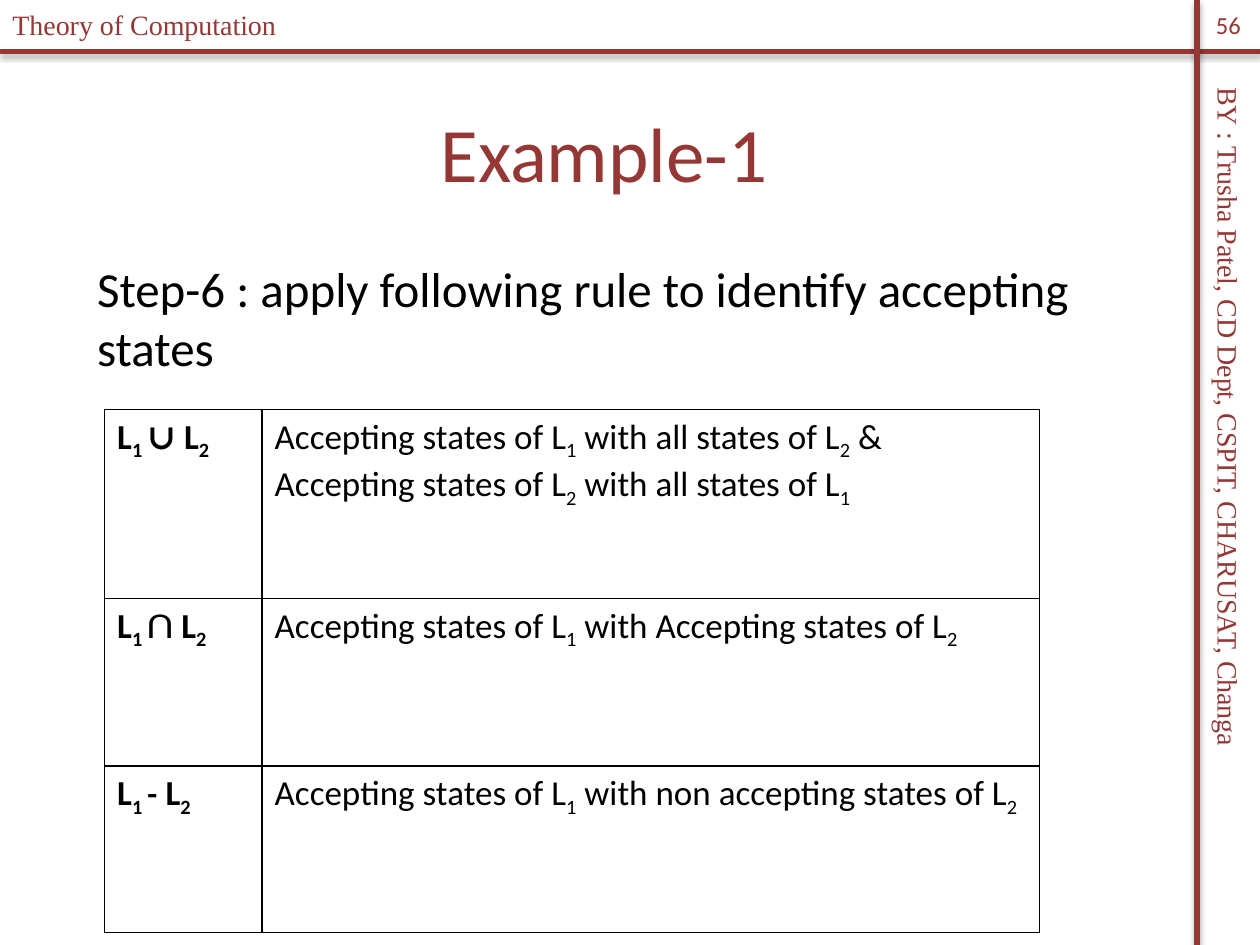
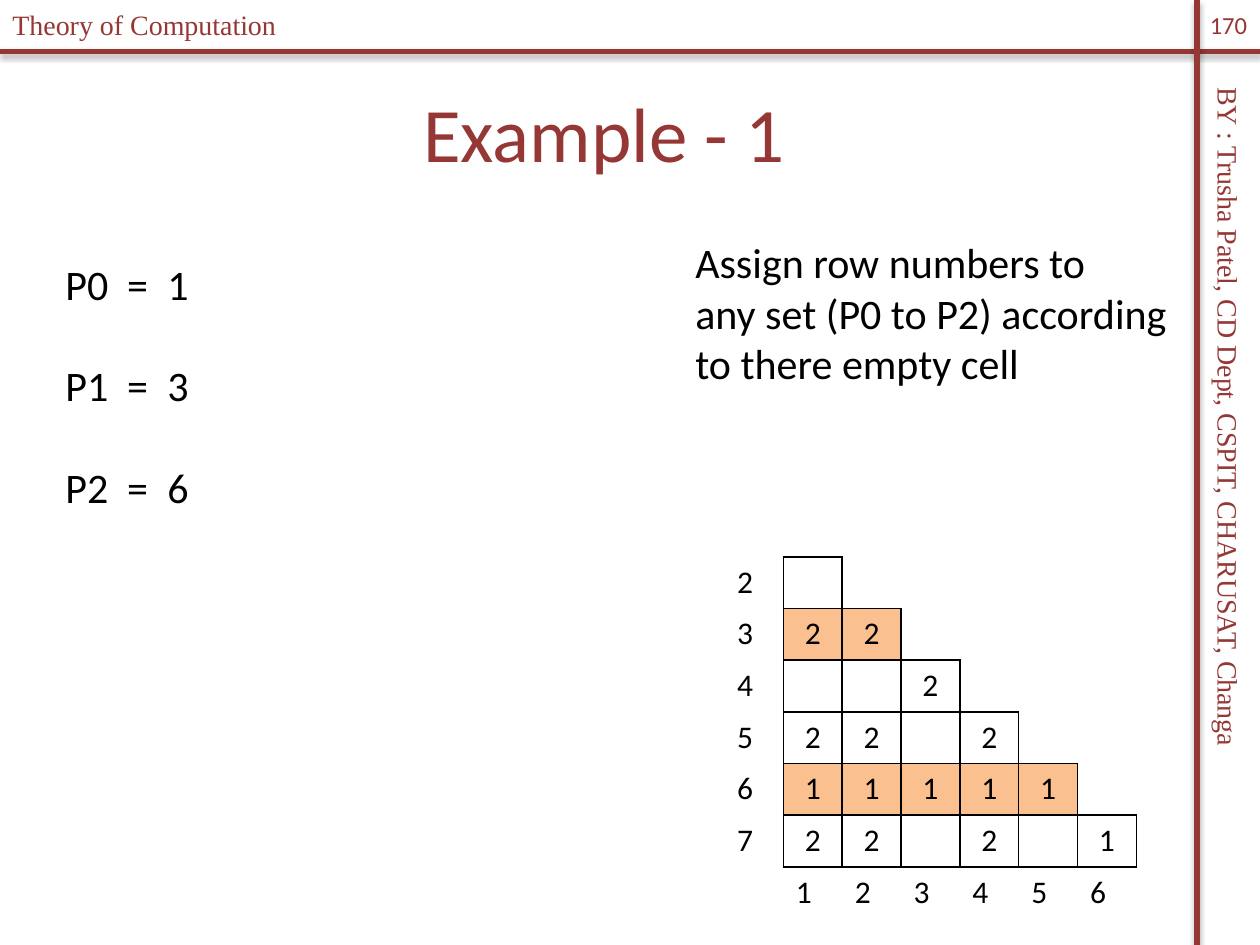
from lxml.etree import SubElement
from pptx import Presentation
from pptx.dml.color import RGBColor
from pptx.enum.shapes import MSO_CONNECTOR as Connector
from pptx.enum.text import MSO_ANCHOR as Anchor, PP_ALIGN as Align
from pptx.oxml import parse_xml
from pptx.oxml.ns import nsdecls, qn
from pptx.util import Inches, Pt

MAROON = RGBColor(0x95, 0x37, 0x35)
BLACK = RGBColor(0, 0, 0)
PEACH = RGBColor(0xFA, 0xC0, 0x90)
SANS, SERIF, SYMBOL = "Calibri", "Times New Roman", "Cambria"
WIDTH, HEIGHT = 10, 7.5
BAND_TOP, BAND_LEFT = 0.41, 9.5
PLAIN_TABLE = "{2D5ABB26-0587-4C30-8999-92F81FD0307C}"
SIDES = {"L": (0, -1), "R": (0, 1), "T": (-1, 0), "B": (1, 0)}

COURSE = "Theory of Computation"
AUTHOR = "BY : Trusha Patel, CD Dept, CSPIT, CHARUSAT, Changa"

STEP = "Step-6 : apply following rule to identify accepting states"
RULES = [
    ("∪", ["Accepting states of L_1_ with all states of L_2_ &",
           "Accepting states of L_2_ with all states of L_1"]),
    ("∩", ["Accepting states of L_1_ with Accepting states of L_2"]),
    ("-", ["Accepting states of L_1_ with non accepting states of L_2"]),
]
RULE_COLUMNS = [1.25, 6.17]
RULE_ROWS = [1.5, 1.33, 1.32]

ASSIGNMENTS = [("P0", "=", "1"), ("P1", "=", "3"), ("P2", "=", "6")]
ASSIGNMENT_TABS = [0.49, 0.81]
INSTRUCTION = ["Assign row numbers to", "any set (P0 to P2) according",
               "to there empty cell"]
STAIRS = [
    ["2", ""],
    ["3", "2", "2"],
    ["4", "", "", "2"],
    ["5", "2", "2", "", "2"],
    ["6", "1", "1", "1", "1", "1"],
    ["7", "2", "2", "", "2", "", "1"],
    ["", "1", "2", "3", "4", "5", "6"],
]
MARKED_ROWS = {"3", "6"}


def add_span(para, text, size, color=BLACK, font=SANS, bold=False, sub=False):
    span = para.add_run()
    span.text = text
    span.font.size = Pt(size)
    span.font.name = font
    span.font.bold = bold
    span.font.color.rgb = color
    if sub:
        span.font._element.set("baseline", "-25000")


def add_subscripted(para, marked, **style):
    for index, text in enumerate(marked.split("_")):
        if text:
            add_span(para, text, sub=index % 2 == 1, **style)


def next_para(frame, index):
    return frame.add_paragraph() if index else frame.paragraphs[0]


def place(shape, left, top, width, height):
    shape.left, shape.top = Inches(left), Inches(top)
    shape.width, shape.height = Inches(width), Inches(height)


def add_box(page, at, lines, size, color=BLACK, font=SANS):
    box = page.shapes.add_textbox(*map(Inches, at))
    box.text_frame.word_wrap = True
    for index, line in enumerate(lines):
        add_span(next_para(box.text_frame, index), line, size, color, font)
    return box


def add_band(page, start, end):
    band = page.shapes.add_connector(Connector.STRAIGHT, *map(Inches, start + end))
    band.line.color.rgb = MAROON
    band.line.width = Pt(3)
    band.element.spPr.append(parse_xml(
        f'<a:effectLst {nsdecls("a")}><a:outerShdw blurRad="{Pt(3.1)}" '
        f'dist="{Pt(1.8)}" dir="5400000" rotWithShape="0"><a:srgbClr val="000000">'
        '<a:alpha val="35000"/></a:srgbClr></a:outerShdw></a:effectLst>'))
    return band


def build_master(deck, page):
    author = add_box(page, (6.54, 3.62, 6.42, 0.37), [AUTHOR], 16, MAROON, SERIF)
    author.rotation = 90
    parts = [
        add_band(page, (0, BAND_TOP), (WIDTH, BAND_TOP)),
        add_band(page, (BAND_LEFT, 0), (BAND_LEFT, HEIGHT)),
        author,
        add_box(page, (0, 0.01, 3.29, 0.37), [COURSE], 16, MAROON, SERIF),
    ]
    for number, part in enumerate(parts, 20):
        part.element.xpath(".//p:cNvPr")[0].set("id", str(number))
        deck.slide_master.shapes.element.append(part.element)


def add_page(deck, layout, title, top, number):
    page = deck.slides.add_slide(deck.slide_layouts.get_by_name(layout))
    heading = page.shapes.title
    place(heading, 0.17, top, 9.25, 1.25)
    heading.text_frame.vertical_anchor = Anchor.MIDDLE
    para = heading.text_frame.paragraphs[0]
    para.alignment = Align.CENTER
    add_span(para, title, 44, MAROON)
    corner = add_box(page, (BAND_LEFT, 0, WIDTH - BAND_LEFT, 0.4), [number], 14, MAROON)
    frame = corner.text_frame
    frame.margin_left = frame.margin_right = 0
    frame.vertical_anchor = Anchor.MIDDLE
    frame.paragraphs[0].alignment = Align.CENTER
    return page


def add_plain_table(page, left, top, columns, rows):
    frame = page.shapes.add_table(len(rows), len(columns), Inches(left), Inches(top),
                                  Inches(sum(columns)), Inches(sum(rows)))
    frame.element.xpath(".//a:tableStyleId")[0].text = PLAIN_TABLE
    table = frame.table
    table.first_row = table.horz_banding = False
    for column, width in zip(table.columns, columns):
        column.width = Inches(width)
    for row, height in zip(table.rows, rows):
        row.height = Inches(height)
    return table


def style_cell(cell, sides, fill=None):
    props = cell._tc.get_or_add_tcPr()
    for side in SIDES:
        edge = SubElement(props, qn(f"a:ln{side}"), w=str(Pt(1)))
        if side in sides:
            paint = SubElement(edge, qn("a:solidFill"))
            SubElement(paint, qn("a:srgbClr"), val=str(BLACK))
        else:
            SubElement(edge, qn("a:noFill"))
    if fill:
        cell.fill.solid()
        cell.fill.fore_color.rgb = fill
    else:
        cell.fill.background()


def fill_rules(page):
    body = page.placeholders[1]
    place(body, 0.17, 2, 9.25, 5.25)
    para = body.text_frame.paragraphs[0]
    props = para._p.get_or_add_pPr()
    props.set("marL", str(Inches(0.5)))
    props.set("indent", "0")
    SubElement(props, qn("a:buNone"))
    para.space_before = Pt(0)
    add_span(para, STEP, 28)

    table = add_plain_table(page, 0.83, 3.25, RULE_COLUMNS, RULE_ROWS)
    for row, (symbol, lines) in enumerate(RULES):
        label, meaning = table.cell(row, 0), table.cell(row, 1)
        para = label.text_frame.paragraphs[0]
        add_subscripted(para, "L_1 ", size=20, bold=True)
        add_span(para, f"{symbol} ", 20, font=SYMBOL, bold=True)
        add_subscripted(para, "L_2", size=20, bold=True)
        for index, line in enumerate(lines):
            add_subscripted(next_para(meaning.text_frame, index), line, size=20)
        for cell in (label, meaning):
            style_cell(cell, SIDES)


def is_step(row, column):
    return 0 <= row < len(STAIRS) - 1 and 1 <= column <= row + 1


def fill_stairs(page):
    add_box(page, (5.42, 1.83, 4, 1.31), INSTRUCTION, 24)
    count = len(STAIRS)
    table = add_plain_table(page, 5.75, 4.42, [3.27 / count] * count, [0.41] * count)
    for row, values in enumerate(STAIRS):
        for column in range(count):
            cell = table.cell(row, column)
            step = is_step(row, column)
            sides = [side for side, (down, right) in SIDES.items()
                     if step or is_step(row + down, column + right)]
            style_cell(cell, sides, PEACH if step and values[0] in MARKED_ROWS else None)
            if column < len(values) and values[column]:
                para = cell.text_frame.paragraphs[0]
                para.alignment = Align.CENTER if step else Align.LEFT
                add_span(para, values[column], 18)

    lines = ["\t".join(parts) for parts in ASSIGNMENTS]
    box = add_box(page, (0.42, 2, 1.19, 2.12), lines, 24)
    for index, para in enumerate(box.text_frame.paragraphs):
        stops = SubElement(para._p.get_or_add_pPr(), qn("a:tabLst"))
        for stop in ASSIGNMENT_TABS:
            SubElement(stops, qn("a:tab"), pos=str(Inches(stop)), algn="l")
        para.space_before = Pt(29.3 if index else 0)


def main():
    deck = Presentation()
    deck.slide_width, deck.slide_height = Inches(WIDTH), Inches(HEIGHT)
    rules = add_page(deck, "Title and Content", "Example-1", 0.58, "56")
    build_master(deck, rules)
    fill_rules(rules)
    fill_stairs(add_page(deck, "Title Only", "Example - 1", 0.42, "170"))
    deck.save("out.pptx")


if __name__ == "__main__":
    main()
